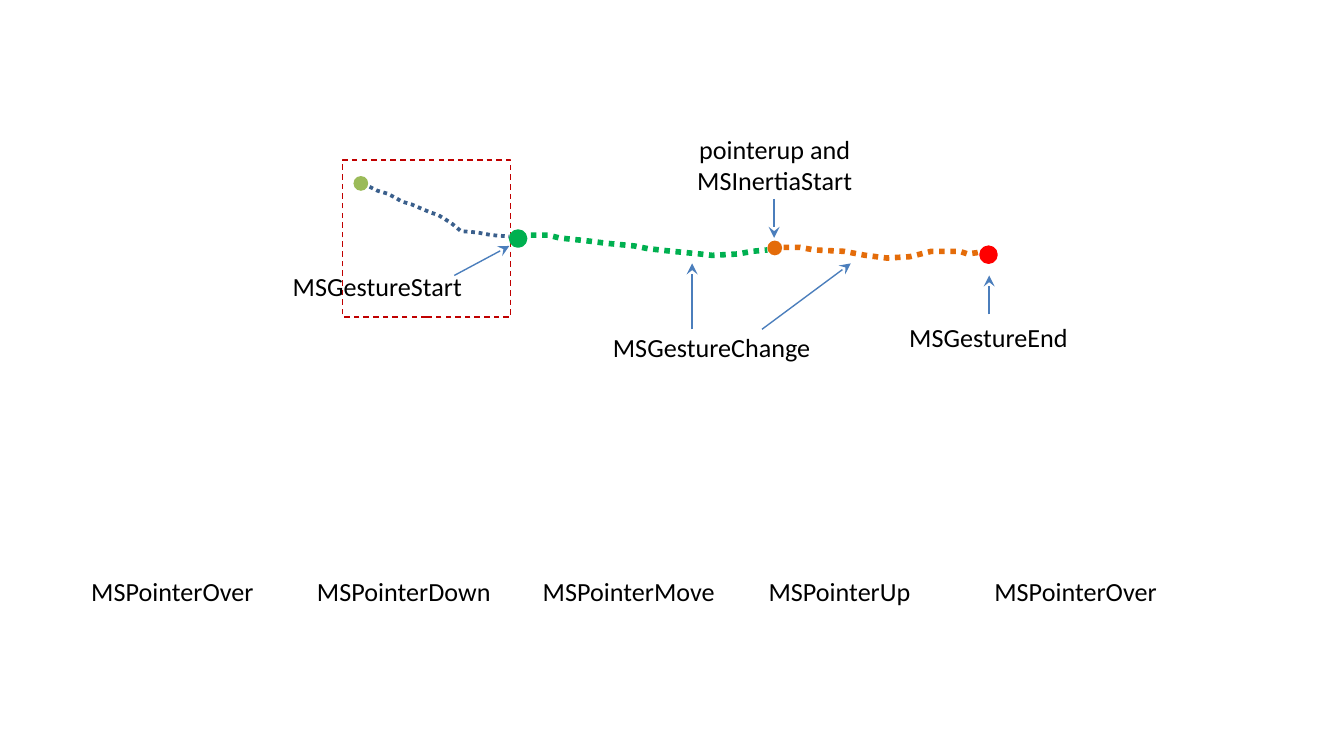
from lxml import etree
from pptx import Presentation
from pptx.dml.color import RGBColor
from pptx.enum.dml import MSO_LINE
from pptx.enum.shapes import MSO_CONNECTOR, MSO_SHAPE
from pptx.enum.text import MSO_AUTO_SIZE, PP_ALIGN
from pptx.oxml.ns import qn
from pptx.util import Inches, Pt

DASH, DOT = MSO_LINE.DASH, MSO_LINE.ROUND_DOT
STRAIGHT = MSO_CONNECTOR.STRAIGHT
RECT, OVAL = MSO_SHAPE.RECTANGLE, MSO_SHAPE.OVAL
LEFT, CENTER = PP_ALIGN.LEFT, PP_ALIGN.CENTER
FIT = MSO_AUTO_SIZE.SHAPE_TO_FIT_TEXT

COLORS = {
    "text": "000000", "threshold": "C00000", "arrow": "4B7EBC",
    "press": "9BBB59", "track": "3A5F8C", "gesture": "00B050",
    "inertia": "E46C0A", "end": "FF0000",
}
FONT = {"name": "Calibri", "size": Pt(14)}

SLIDE_WIDTH = Inches(10)
SLIDE_HEIGHT = SLIDE_WIDTH * 9 // 16

THRESHOLD_BOX = (2.55, 1.19, 1.25, 1.17)
DOT_SIZE = 0.11
DOTS = [
    (2.63, 1.31, "press", None),
    (5.71, 1.79, "inertia", None),
    (3.8, 1.72, "gesture", 2),
    (7.3, 1.84, "end", 2),
]
TRAILS = [
    ("track", 2, [
        (2.75, 1.39), (2.81, 1.42), (2.88, 1.44), (2.94, 1.47), (2.99, 1.5),
        (3.06, 1.52), (3.13, 1.55), (3.2, 1.58), (3.26, 1.6), (3.31, 1.63),
        (3.37, 1.67), (3.43, 1.72), (3.55, 1.73), (3.66, 1.75), (3.79, 1.76)]),
    ("gesture", 3, [
        (3.95, 1.75), (4.08, 1.75), (4.16, 1.77), (4.25, 1.78), (4.35, 1.79),
        (4.51, 1.81), (4.72, 1.83), (4.82, 1.85), (5, 1.87), (5.21, 1.89),
        (5.3, 1.9), (5.49, 1.89), (5.6, 1.87), (5.71, 1.86)]),
    ("inertia", 3, [
        (5.83, 1.84), (5.95, 1.84), (6.06, 1.86), (6.28, 1.87), (6.44, 1.9),
        (6.6, 1.92), (6.77, 1.91), (6.93, 1.87), (7.14, 1.87), (7.2, 1.89),
        (7.27, 1.88), (7.31, 1.87)]),
]
ARROWS = [
    ((3.38, 2.05), (3.79, 1.83)),
    ((5.15, 2.45), (5.15, 1.96)),
    ((5.76, 1.48), (5.76, 1.77)),
    ((7.36, 2.34), (7.36, 2.05)),
    ((5.67, 2.45), (6.33, 1.96)),
]
GESTURE_LABELS = [
    ("pointerup and\nMSInertiaStart", 5.08, 0.94, 1.37, 0.57, CENTER),
    ("MSGestureStart", 2.08, 1.96, 1.47, 0.34, LEFT),
    ("MSGestureChange", 4.45, 2.42, 1.69, 0.34, CENTER),
    ("MSGestureEnd", 6.66, 2.34, 1.39, 0.34, CENTER),
]
POINTER_EVENTS = [
    ("MSPointerOver", 1.42), ("MSPointerDown", 1.51), ("MSPointerMove", 1.5),
    ("MSPointerUp", 1.27), ("MSPointerOver", 1.42),
]
EVENT_LEFT, EVENT_TOP, EVENT_STEP = 0.58, 4.23, 1.68


def rgb(name):
    return RGBColor.from_string(COLORS[name])


def set_line(sp, color, width, dash=None):
    sp.line.color.rgb = rgb(color)
    sp.line.width = Pt(width)
    if dash:
        sp.line.dash_style = dash


def add_shape(s, kind, box):
    sp = s.shapes.add_shape(kind, *map(Inches, box))
    sp.shadow.inherit = False
    return sp


def add_trail(s, color, width, points):
    points = [(Inches(x), Inches(y)) for x, y in points]
    builder = s.shapes.build_freeform(*points[0])
    builder.add_line_segments(points[1:], close=False)
    sp = builder.convert_to_shape()
    sp.shadow.inherit = False
    sp.fill.background()
    set_line(sp, color, width, DOT)


def add_dot(s, left, top, color, width):
    sp = add_shape(s, OVAL, (left, top, DOT_SIZE, DOT_SIZE))
    sp.fill.solid()
    sp.fill.fore_color.rgb = rgb(color)
    if width:
        set_line(sp, color, width)
    else:
        sp.line.fill.background()


def add_arrow(s, start, end):
    cn = s.shapes.add_connector(STRAIGHT, *map(Inches, start + end))
    set_line(cn, "arrow", 0.75)
    props = cn._element.spPr
    etree.SubElement(props.find(qn("a:ln")), qn("a:tailEnd"), type="stealth")
    etree.SubElement(props, qn("a:effectLst"))


def add_label(s, text, left, top, width, height, align=LEFT):
    sp = s.shapes.add_textbox(*map(Inches, (left, top, width, height)))
    tf = sp.text_frame
    tf.word_wrap = False
    tf.auto_size = FIT
    p = tf.paragraphs[0]
    p.text = text
    p.alignment = align
    for r in p.runs:
        for key, value in FONT.items():
            setattr(r.font, key, value)
        r.font.color.rgb = rgb("text")


def main():
    prs = Presentation()
    prs.slide_width, prs.slide_height = SLIDE_WIDTH, SLIDE_HEIGHT
    s = prs.slides.add_slide(prs.slide_layouts[6])

    box = add_shape(s, RECT, THRESHOLD_BOX)
    box.fill.background()
    set_line(box, "threshold", 0.75, DASH)

    for trail in TRAILS:
        add_trail(s, *trail)
    for dot in DOTS:
        add_dot(s, *dot)
    for arrow in ARROWS:
        add_arrow(s, *arrow)
    for label in GESTURE_LABELS:
        add_label(s, *label)
    for i, (event, width) in enumerate(POINTER_EVENTS):
        add_label(s, event, EVENT_LEFT + i * EVENT_STEP, EVENT_TOP, width, 0.34)

    prs.save("out.pptx")


if __name__ == "__main__":
    main()
